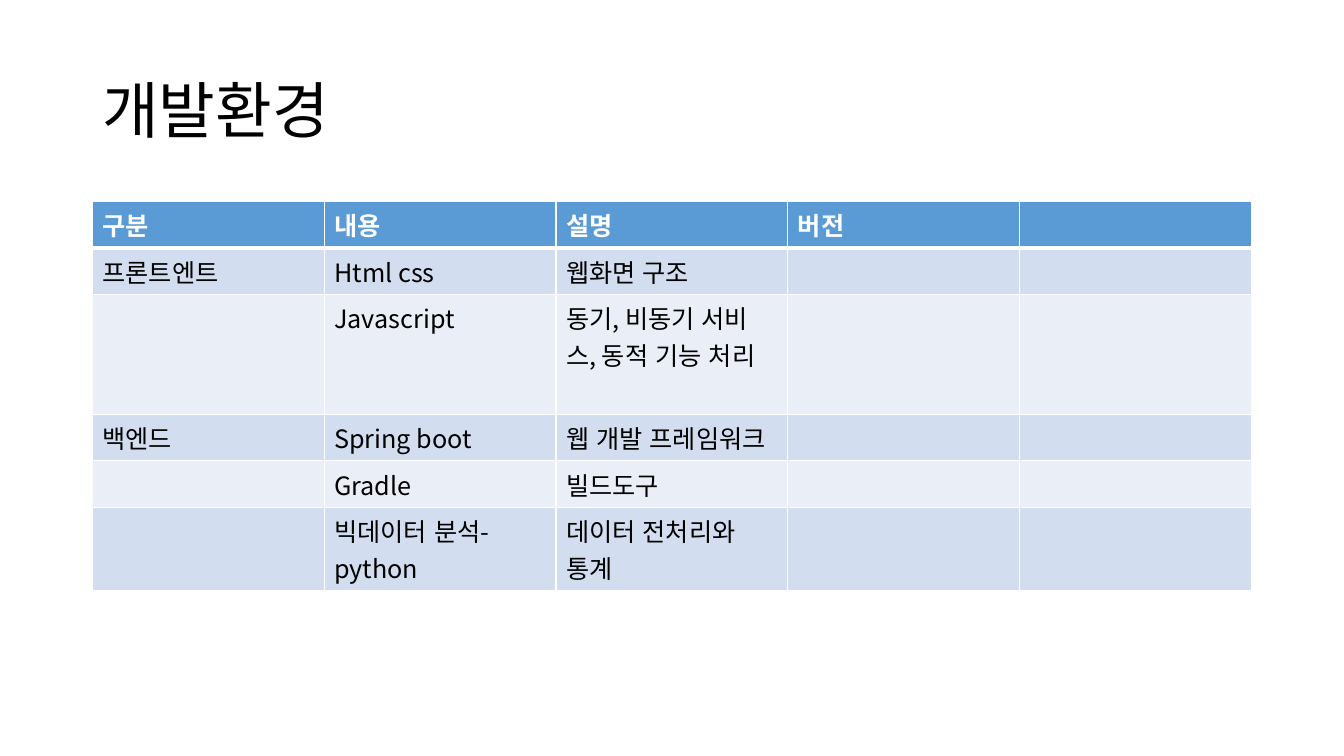
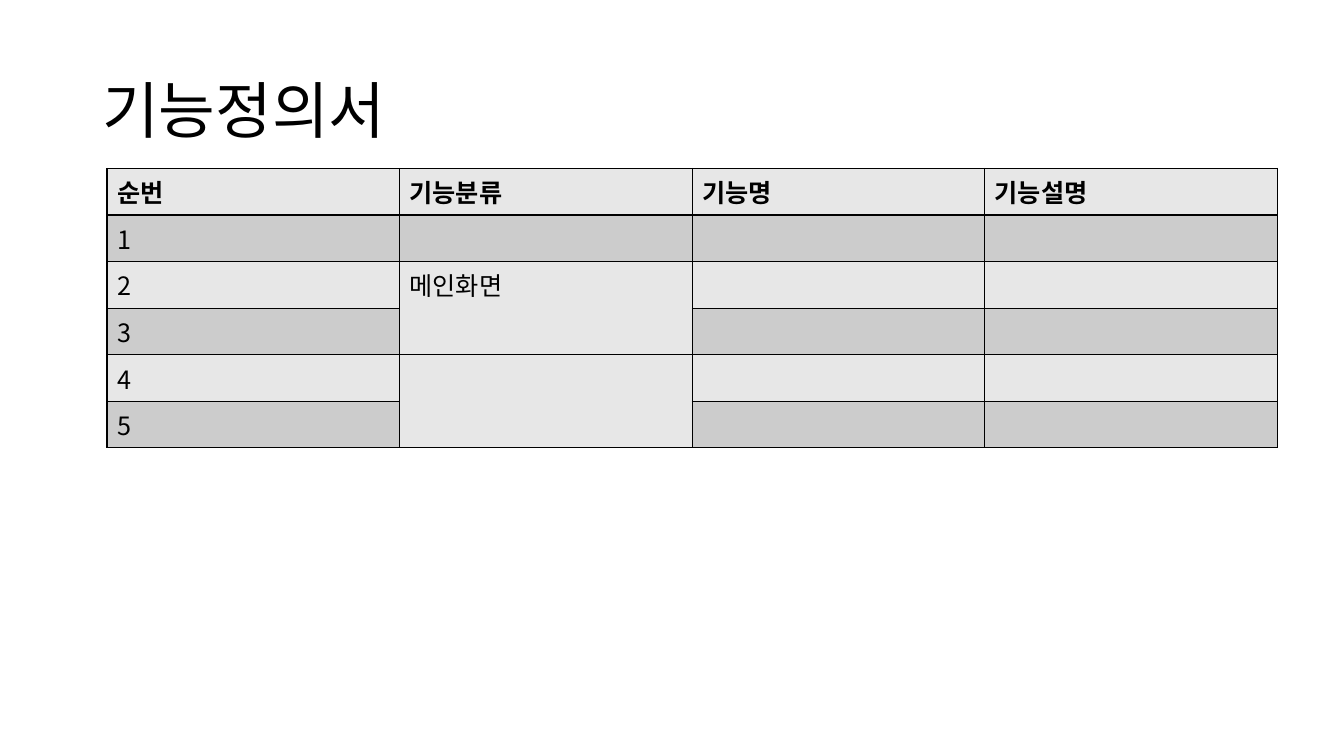
import pptx
import pptx.util
import pptx.dml.color
import pptx.enum.lang
import pptx.enum.text
import pptx.oxml.ns
from lxml import etree

Pt = pptx.util.Pt
qn = pptx.oxml.ns.qn

FONT = "Noto Sans CJK KR"
C = {
    "black": "000000",
    "white": "FFFFFF",
    "blue": "5B9BD5",
    "blue_mid": "D2DEEF",
    "blue_pale": "EAEFF7",
    "gray_mid": "CCCCCC",
    "gray_pale": "E7E7E7",
}
LINE_H = 26.06
CELL_PAD = 7.2

SLIDES = [
    {
        "title": "개발환경",
        "at": (66, 144),
        "width": 828,
        "head": ("blue", "white"),
        "bands": ("blue_mid", "blue_pale"),
        "border": "white",
        "head_line": 3,
        "merges": [],
        "row_lines": (1, 1, 3, 1, 1, 2),
        "rows": [
            ("구분", "내용", "설명", "버전", ""),
            ("프론트엔트", "Html css", "웹화면 구조", "", ""),
            ("", "Javascript", "동기, 비동기 서비스, 동적 기능 처리", "", ""),
            ("백엔드", "Spring boot", "웹 개발 프레임워크", "", ""),
            ("", "Gradle", "빌드도구", "", ""),
            ("", "빅데이터 분석-python", "데이터 전처리와\n통계", "", ""),
        ],
    },
    {
        "title": "기능정의서",
        "at": (76.4, 120.4),
        "width": 836,
        "head": ("gray_pale", "black"),
        "bands": ("gray_mid", "gray_pale"),
        "border": "black",
        "head_line": 1,
        "merges": [((2, 1), (3, 1)), ((4, 1), (5, 1))],
        "row_lines": (1, 1, 1, 1, 1, 1),
        "rows": [
            ("순번", "기능분류", "기능명", "기능설명"),
            ("1", "", "", ""),
            ("2", "메인화면", "", ""),
            ("3", "", "", ""),
            ("4", "", "", ""),
            ("5", "", "", ""),
        ],
    },
]


def rgb(name):
    return pptx.dml.color.RGBColor.from_string(C[name])


def style_text(tf, size, color, bold=False):
    for p in tf.paragraphs:
        for r in p.runs:
            r.font.size = Pt(size)
            r.font.bold = bold
            r.font.color.rgb = rgb(color)
            r.font.name = FONT
            r.font.language_id = pptx.enum.lang.MSO_LANGUAGE_ID.KOREAN
            etree.SubElement(r.font._element, qn("a:ea"), typeface=FONT)


def add_title(s, text):
    sp = s.shapes.add_textbox(Pt(66), Pt(28.8), Pt(828), Pt(104.4))
    tf = sp.text_frame
    tf.word_wrap = True
    tf.vertical_anchor = pptx.enum.text.MSO_ANCHOR.MIDDLE
    tf.text = text
    tf.paragraphs[0].line_spacing = 0.9
    style_text(tf, 44, "black")


def set_borders(cell, color, widths):
    tc_pr = cell._tc.get_or_add_tcPr()
    for side, width in widths.items():
        ln = etree.SubElement(tc_pr, qn("a:ln" + side), w=str(Pt(width)))
        fill = etree.SubElement(ln, qn("a:solidFill"))
        etree.SubElement(fill, qn("a:srgbClr"), val=C[color])


def add_grid(s, content):
    rows = content["rows"]
    n_cols = len(rows[0])
    x, y = content["at"]
    heights = [CELL_PAD + LINE_H * lines for lines in content["row_lines"]]
    frame = s.shapes.add_table(len(rows), n_cols, Pt(x), Pt(y),
                               Pt(content["width"]), Pt(sum(heights)))
    table = frame.table
    table.first_row = False
    table.horz_banding = False
    for col in table.columns:
        col.width = Pt(content["width"] / n_cols)
    for i, row in enumerate(rows):
        table.rows[i].height = Pt(heights[i])
        fill, color = content["head"] if i == 0 else (content["bands"][(i - 1) % 2], "black")
        widths = {
            "L": 1,
            "R": 1,
            "T": content["head_line"] if i == 1 else 1,
            "B": content["head_line"] if i == 0 else 1,
        }
        for j, text in enumerate(row):
            cell = table.cell(i, j)
            set_borders(cell, content["border"], widths)
            cell.fill.solid()
            cell.fill.fore_color.rgb = rgb(fill)
            if text:
                cell.text_frame.text = text
                style_text(cell.text_frame, 18, color, i == 0)
    for first, last in content["merges"]:
        table.cell(*first).merge(table.cell(*last))


def main():
    prs = pptx.Presentation()
    prs.slide_width, prs.slide_height = Pt(960), Pt(540)
    for content in SLIDES:
        s = prs.slides.add_slide(prs.slide_layouts[6])
        add_title(s, content["title"])
        add_grid(s, content)
    prs.save("out.pptx")


if __name__ == "__main__":
    main()
